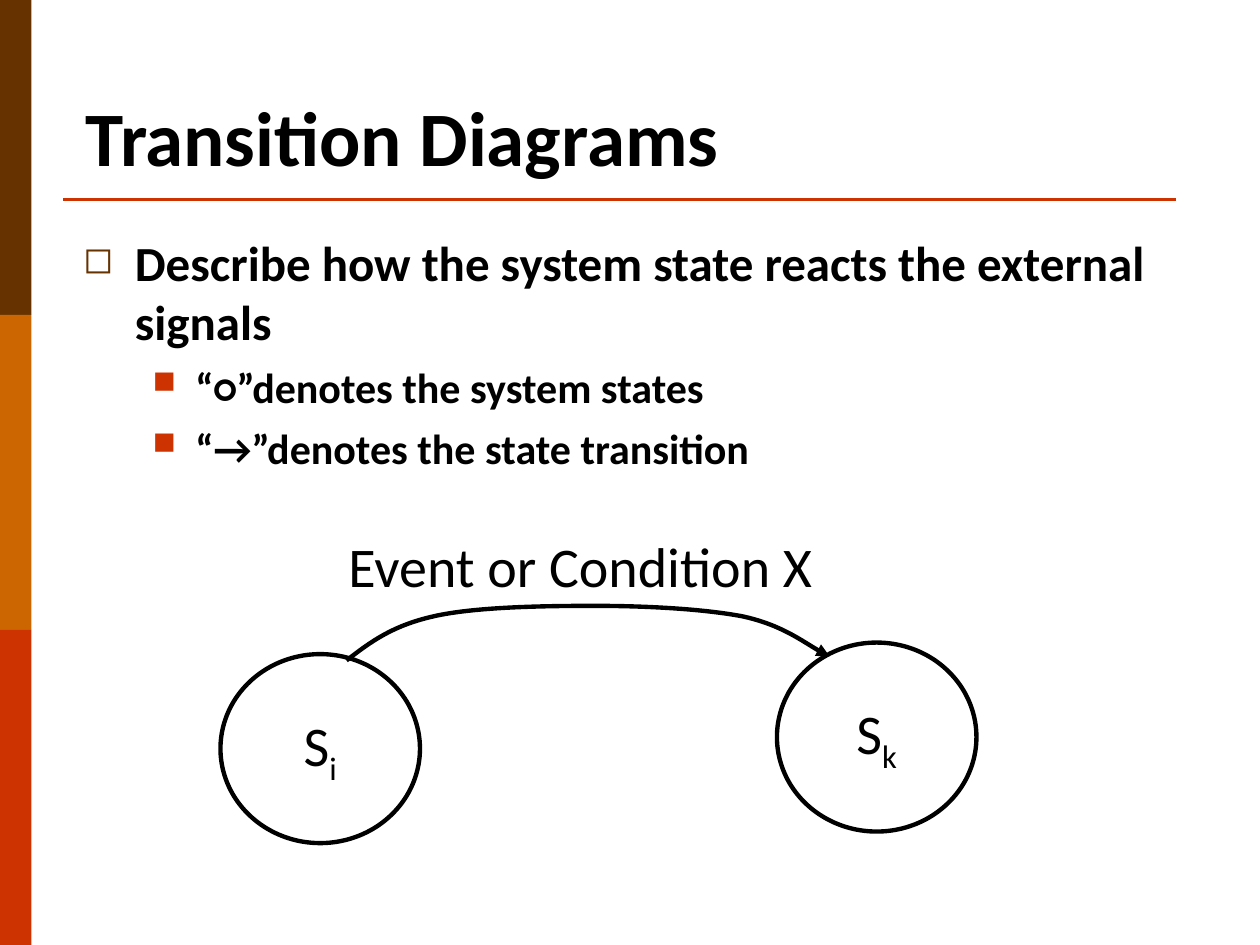
from lxml.etree import SubElement
from pptx import Presentation
from pptx.dml.color import RGBColor
from pptx.enum.shapes import MSO_CONNECTOR as Connector, MSO_SHAPE as Shape
from pptx.enum.text import MSO_ANCHOR as Anchor, PP_ALIGN as Align
from pptx.oxml.ns import qn
from pptx.util import Inches, Pt

COLORS = {"brown": "663300", "orange": "CC6600", "red": "CC3300", "black": "000000"}
FONT = "Calibri"
COLUMNS, ROWS = 120, 90
WIDTH, HEIGHT = Inches(10), Inches(7.5)
STATES = [("i", 21, 62.3), ("k", 74, 61.2)]
BULLETS = [
    ("Describe how the system state reacts the external signals", 0),
    ("“○”denotes the system states", 1),
    ("“→”denotes the state transition", 1),
]
LEVELS = [
    {"size": 28, "indent": 0.41, "hang": 0.41, "before": 7, "bullet": "◻", "color": "brown"},
    {"size": 24, "indent": 0.89, "hang": 0.34, "before": 6, "bullet": "■", "color": "red"},
]
ARC = [
    (33, 62.9),
    (35.2, 61.2), (37.3, 59.6), (41.3, 58.7),
    (45.2, 57.8), (51.8, 57.7), (56.6, 57.7),
    (61.6, 57.7), (67, 58), (70.7, 58.7),
    (74.4, 59.5), (77.6, 61.9), (79, 62.5),
]


def color(name):
    """Return a palette colour."""
    return RGBColor.from_string(COLORS[name])


def grid(column, row):
    """Turn a grid position into slide lengths."""
    return round(WIDTH * column / COLUMNS), round(HEIGHT * row / ROWS)


def box(column, row, columns, rows):
    """Turn a grid cell range into left, top, width and height."""
    return *grid(column, row), *grid(columns, rows)


def format_font(font, size, bold=False):
    """Apply the slide's typeface in black."""
    font.name, font.size, font.bold = FONT, Pt(size), bold
    font.color.rgb = color("black")


def format_line(line, name, width):
    """Set the colour and width of a line."""
    line.color.rgb = color(name)
    line.width = Pt(width)


def add_band(slide, index, name):
    """Add one third of the side stripe."""
    band = slide.shapes.add_shape(Shape.RECTANGLE, *box(0, index * ROWS / 3, 3, ROWS / 3))
    band.shadow.inherit = False
    band.fill.solid()
    band.fill.fore_color.rgb = color(name)
    band.line.fill.background()


def add_rule(slide):
    """Add the line below the title."""
    rule = slide.shapes.add_connector(Connector.STRAIGHT, *grid(6, 19), *grid(112, 19))
    format_line(rule.line, "red", 1.5)
    SubElement(rule._element.spPr, qn("a:effectLst"))


def add_text(slide, place, text, size, bold=False, anchor=Anchor.TOP):
    """Add a wrapped text box with one format."""
    text_frame = slide.shapes.add_textbox(*box(*place)).text_frame
    text_frame.word_wrap = True
    text_frame.vertical_anchor = anchor
    text_frame.text = text
    for paragraph in text_frame.paragraphs:
        format_font(paragraph.font, size, bold)
    return text_frame


def add_bullet(paragraph, level):
    """Give a paragraph its hanging indent and coloured bullet."""
    properties = paragraph._p.get_or_add_pPr()
    properties.set("marL", str(Inches(level["indent"])))
    properties.set("indent", str(-Inches(level["hang"])))
    tint = SubElement(properties, qn("a:buClr"))
    SubElement(tint, qn("a:srgbClr"), val=COLORS[level["color"]])
    SubElement(properties, qn("a:buSzPct"), val="75000")
    SubElement(properties, qn("a:buChar"), char=level["bullet"])


def add_bullet_list(slide, place, items):
    """Add the two-level bullet list."""
    text_frame = slide.shapes.add_textbox(*box(*place)).text_frame
    text_frame.word_wrap = True
    text_frame.text = "\n".join(text for text, _ in items)
    for index, (paragraph, (_, depth)) in enumerate(zip(text_frame.paragraphs, items)):
        level = LEVELS[depth]
        paragraph.level = depth
        paragraph.space_before = Pt(level["before"] if index else 0)
        add_bullet(paragraph, level)
        format_font(paragraph.font, level["size"], bold=True)


def add_state(slide, subscript, column, row):
    """Add a state circle labelled S with a subscript."""
    state = slide.shapes.add_shape(Shape.OVAL, *box(column, row, 19, 18))
    state.shadow.inherit = False
    state.fill.background()
    format_line(state.line, "black", 2.5)
    text_frame = state.text_frame
    text_frame.word_wrap = False
    text_frame.vertical_anchor = Anchor.MIDDLE
    text_frame.text = "S"
    paragraph = text_frame.paragraphs[0]
    paragraph.alignment = Align.CENTER
    index_run = paragraph.add_run()
    index_run.text = subscript
    for run in paragraph.runs:
        format_font(run.font, 32)
    index_run.font._element.set("baseline", "-25000")


def add_curved_arrow(slide, points):
    """Add an arrow of cubic curves through the given control points."""
    start, *rest = [grid(*point) for point in points]
    builder = slide.shapes.build_freeform(*start)
    builder.add_line_segments(rest, close=False)
    arrow = builder.convert_to_shape()
    arrow.shadow.inherit = False
    arrow.fill.background()
    format_line(arrow.line, "black", 2.5)
    SubElement(arrow.line._get_or_add_ln(), qn("a:tailEnd"), type="triangle")
    outline = next(arrow._element.iter(qn("a:path")))
    segments = outline.findall(qn("a:lnTo"))
    for first in range(0, len(segments), 3):
        curve = SubElement(outline, qn("a:cubicBezTo"))
        for segment in segments[first:first + 3]:
            curve.append(segment[0])
            outline.remove(segment)


def main():
    """Build and save the slide."""
    presentation = Presentation()
    presentation.slide_width, presentation.slide_height = WIDTH, HEIGHT
    slide = presentation.slides.add_slide(presentation.slide_layouts[6])
    for index, name in enumerate(("brown", "orange", "red")):
        add_band(slide, index, name)
    add_rule(slide)
    add_text(slide, (7, 2.9, 102, 15), "Transition Diagrams", 44, True, Anchor.BOTTOM)
    for state in STATES:
        add_state(slide, *state)
    add_text(slide, (32, 50, 50, 7.5), "Event or Condition X", 32)
    add_curved_arrow(slide, ARC)
    add_bullet_list(slide, (6.75, 21.6, 106.3, 27.4), BULLETS)
    presentation.save("out.pptx")


if __name__ == "__main__":
    main()
